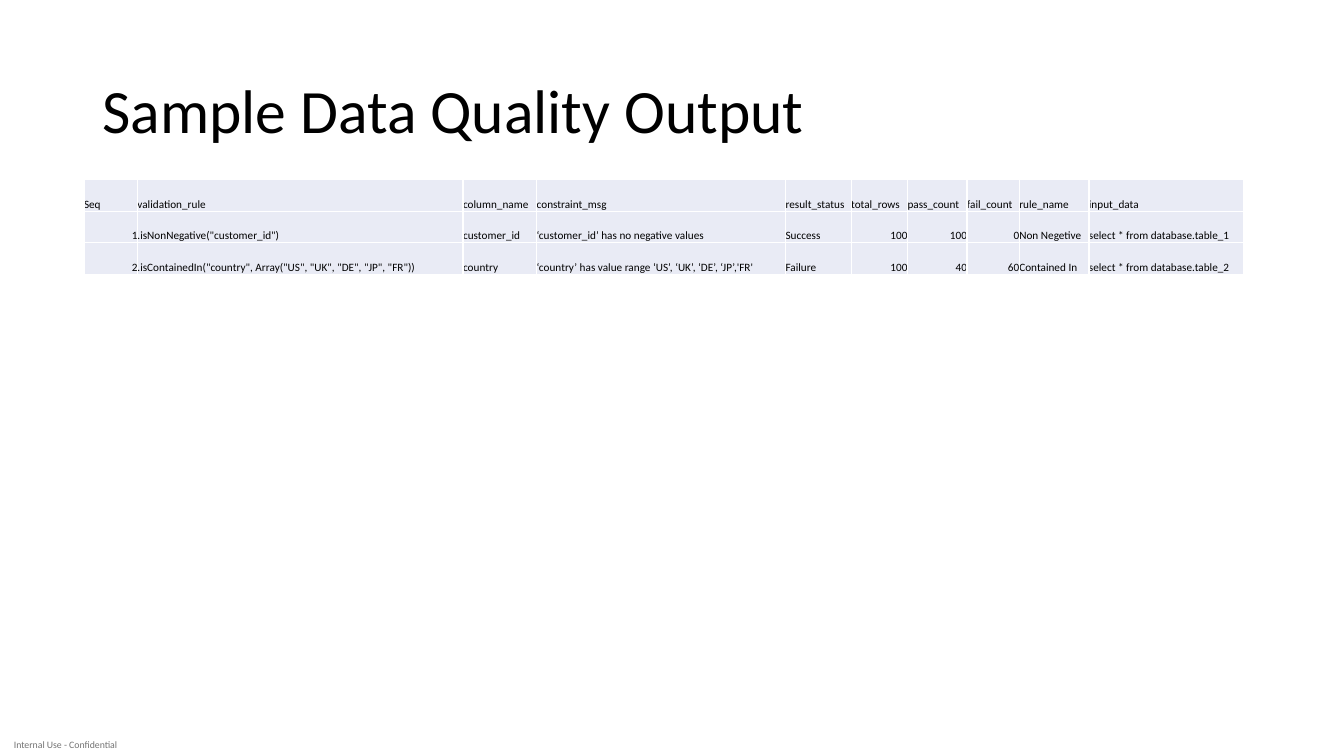
from dataclasses import dataclass

from lxml.etree import SubElement
from pptx import Presentation
from pptx.dml.color import RGBColor
from pptx.enum.text import MSO_ANCHOR, PP_ALIGN
from pptx.oxml.ns import qn
from pptx.util import Pt


@dataclass(frozen=True)
class Theme:
    """Colours, font and type sizes of the slide."""
    font: str = "Calibri"
    ink: str = "000000"
    muted: str = "737373"
    cell: str = "E9EBF5"
    rule: str = "FFFFFF"
    title: float = 44
    body: float = 8
    note: float = 7


THEME = Theme()
WIDTHS = [38.2, 232.6, 52.6, 177.8, 46.8, 40.3, 42.5, 37.4, 49.7, 110.2]
ROW_HIGH = 22.5
ROWS = [
    ["Seq", "validation_rule", "column_name", "constraint_msg",
     "result_status", "total_rows", "pass_count", "fail_count",
     "rule_name", "input_data"],
    ["1", '.isNonNegative("customer_id")', "customer_id",
     "‘customer_id’ has no negative values", "Success",
     "100", "100", "0", "Non Negetive", "select * from database.table_1"],
    ["2", '.isContainedIn("country", Array("US", "UK", "DE", "JP", "FR"))',
     "country",
     "‘country’ has value range ‘US’, ‘UK’, ‘DE’, ‘JP’,'FR'", "Failure",
     "100", "40", "60", "Contained In", "select * from database.table_2"],
]


def put_text(frame, text, size=THEME.body, color=THEME.ink,
             align=PP_ALIGN.LEFT, space=None):
    """Write one formatted paragraph into a text frame."""
    para = frame.paragraphs[0]
    para.alignment = align
    para.line_spacing = space
    run = para.add_run()
    run.text = text
    run.font.name = THEME.font
    run.font.size = Pt(size)
    run.font.color.rgb = RGBColor.from_string(color)


def no_inset(item):
    """Clear all four margins of a cell or text frame."""
    item.margin_left = item.margin_right = 0
    item.margin_top = item.margin_bottom = 0


def add_title(slide, text):
    """Place and fill the title placeholder."""
    title = slide.shapes.title
    title.left, title.top = Pt(66), Pt(28.8)
    title.width, title.height = Pt(828), Pt(104.4)
    frame = title.text_frame
    frame.vertical_anchor = MSO_ANCHOR.MIDDLE
    put_text(frame, text, size=THEME.title, space=0.9)


def add_note(slide, text):
    """Add the small label at the bottom left corner."""
    box = slide.shapes.add_textbox(0, Pt(523.4), Pt(93.6), Pt(16.6))
    frame = box.text_frame
    frame.word_wrap = True
    frame.vertical_anchor = MSO_ANCHOR.MIDDLE
    no_inset(frame)
    put_text(frame, text, size=THEME.note, color=THEME.muted,
             align=PP_ALIGN.CENTER)


def add_edges(cell):
    """Draw a thin rule on every side of a cell."""
    props = cell._tc.get_or_add_tcPr()
    for side in ("a:lnL", "a:lnR", "a:lnT", "a:lnB"):
        line = SubElement(props, qn(side), w=str(Pt(1)))
        fill = SubElement(line, qn("a:solidFill"))
        SubElement(fill, qn("a:srgbClr"), val=THEME.rule)


def fill_cell(cell, text):
    """Style a cell and write its text, numbers to the right."""
    no_inset(cell)
    cell.vertical_anchor = MSO_ANCHOR.BOTTOM
    add_edges(cell)
    cell.fill.solid()
    cell.fill.fore_color.rgb = RGBColor.from_string(THEME.cell)
    align = PP_ALIGN.RIGHT if text.isdigit() else PP_ALIGN.LEFT
    put_text(cell.text_frame, text, align=align)


def add_grid(slide, rows, widths):
    """Add the table of check results."""
    frame = slide.shapes.add_table(
        len(rows), len(widths), Pt(60), Pt(128.4),
        Pt(sum(widths)), Pt(ROW_HIGH * len(rows)))
    table = frame.table
    table.first_row = table.horz_banding = False
    for col, width in zip(table.columns, widths):
        col.width = Pt(width)
    for row, texts in zip(table.rows, rows):
        row.height = Pt(ROW_HIGH)
        for cell, text in zip(row.cells, texts):
            fill_cell(cell, text)


def main():
    """Build and save the slide."""
    deck = Presentation()
    deck.slide_width, deck.slide_height = Pt(960), Pt(540)
    slide = deck.slides.add_slide(deck.slide_layouts[5])
    add_note(slide, "Internal Use - Confidential")
    add_title(slide, "Sample Data Quality Output")
    add_grid(slide, ROWS, WIDTHS)
    deck.save("out.pptx")


main()
